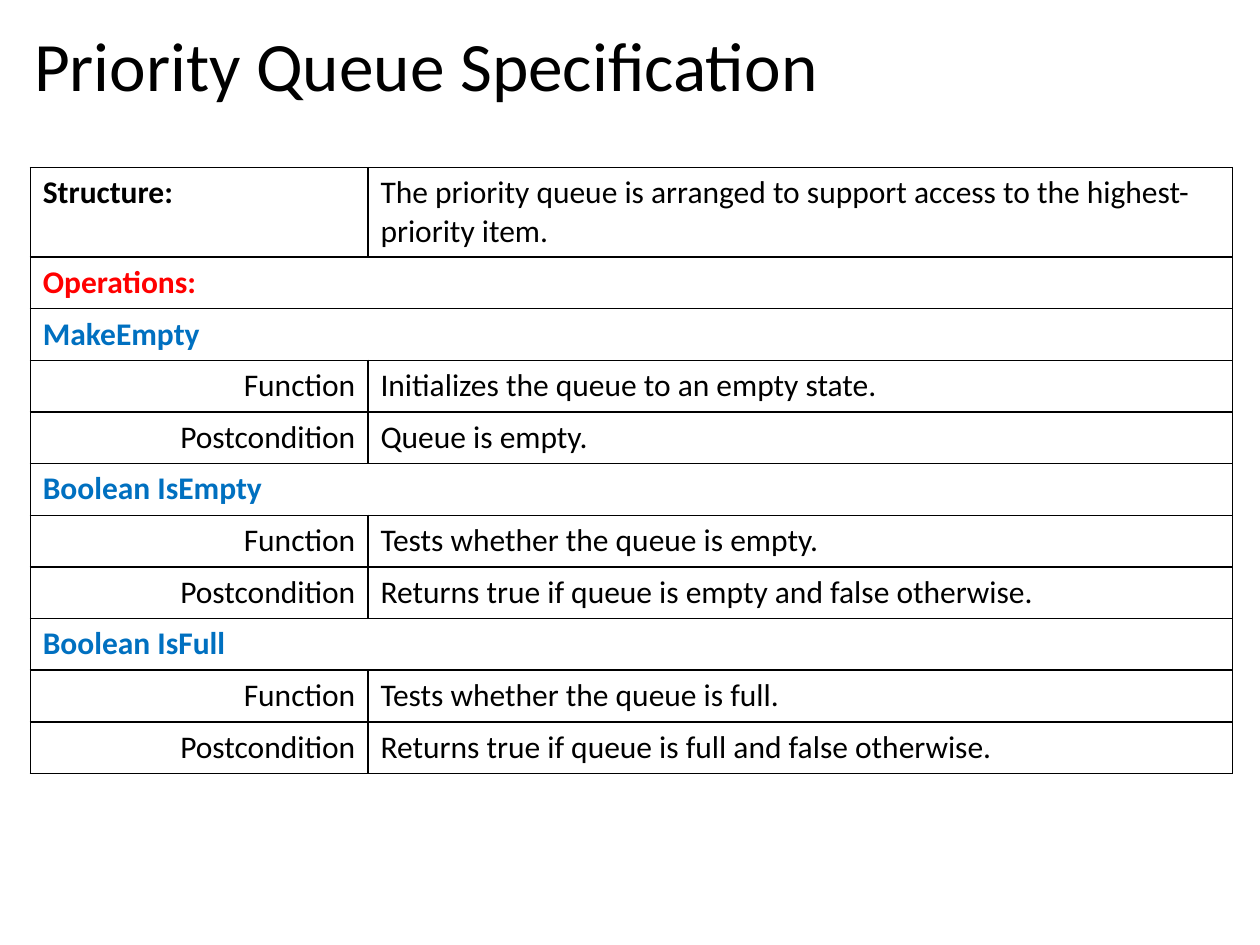
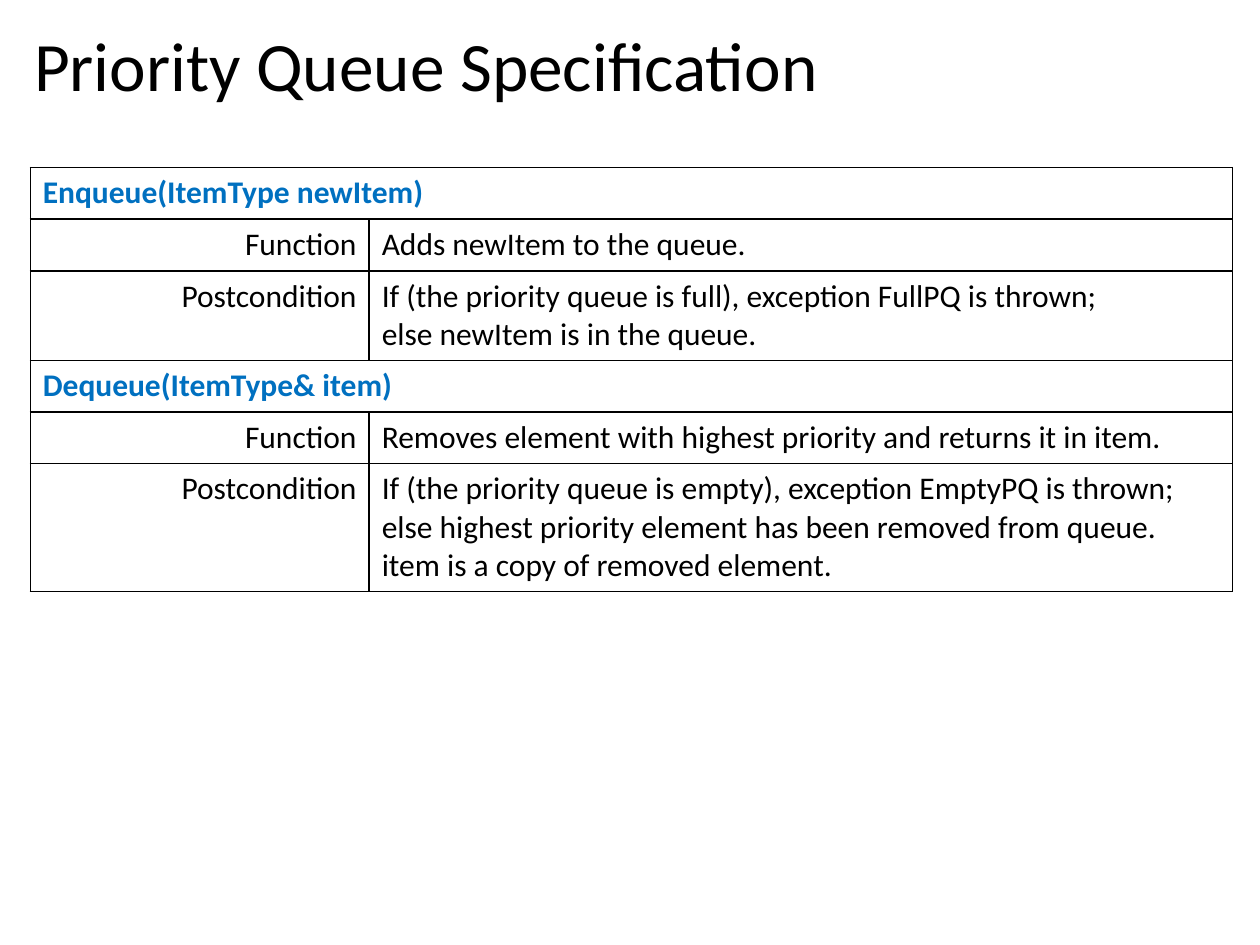
import pptx
import pptx.dml.color
import pptx.enum.text
import pptx.oxml
import pptx.oxml.ns
import pptx.util
from dataclasses import dataclass

Inches = pptx.util.Inches
Pt = pptx.util.Pt
RGB = pptx.dml.color.RGBColor
ALIGN = pptx.enum.text.PP_ALIGN


@dataclass(frozen=True)
class Theme:
    font: str = "Calibri"
    title_size: float = 39.6
    body_size: float = 18
    ink: str = "000000"
    section: str = "FF0000"
    operation: str = "0070C0"
    border_width: float = 1


theme = Theme()


def add_run(paragraph, text, size, color=theme.ink, bold=False):
    run = paragraph.add_run()
    run.text = text
    run.font.name = theme.font
    run.font.size = Pt(size)
    run.font.bold = bold
    run.font.color.rgb = RGB.from_string(color)


def add_borders(cell):
    properties = cell._tc.get_or_add_tcPr()
    for side in ("lnL", "lnR", "lnT", "lnB"):
        properties.append(pptx.oxml.parse_xml(
            f'<a:{side} {pptx.oxml.ns.nsdecls("a")} w="{Pt(theme.border_width)}">'
            f'<a:solidFill><a:srgbClr val="{theme.ink}"/></a:solidFill></a:{side}>'))


# Each row is (kind, label, description paragraphs)
def_rows = [
    ("structure", "Structure:",
     ["The priority queue is arranged to support access to the highest-priority item."]),
    ("section", "Operations:", []),
    ("operation", "MakeEmpty", []),
    ("detail", "Function", ["Initializes the queue to an empty state."]),
    ("detail", "Postcondition", ["Queue is empty."]),
    ("operation", "Boolean IsEmpty", []),
    ("detail", "Function", ["Tests whether the queue is empty."]),
    ("detail", "Postcondition", ["Returns true if queue is empty and false otherwise."]),
    ("operation", "Boolean IsFull", []),
    ("detail", "Function", ["Tests whether the queue is full."]),
    ("detail", "Postcondition", ["Returns true if queue is full and false otherwise."]),
]
item_rows = [
    ("operation", "Enqueue(ItemType newItem)", []),
    ("detail", "Function", ["Adds newItem to the queue."]),
    ("detail", "Postcondition",
     ["If (the priority queue is full), exception FullPQ is thrown;",
      "else newItem is in the queue."]),
    ("operation", "Dequeue(ItemType& item)", []),
    ("detail", "Function", ["Removes element with highest priority and returns it in item."]),
    ("detail", "Postcondition",
     ["If (the priority queue is empty), exception EmptyPQ is thrown; "
      "else highest priority element has been removed from queue. "
      "item is a copy of removed element."]),
]
label_colors = {"section": theme.section, "operation": theme.operation}
table_width, row_height = 9.54, 0.41

deck = pptx.Presentation()
deck.slide_width, deck.slide_height = Inches(10), Inches(7.5)

for rows, label_width in ((def_rows, 2.68), (item_rows, 2.69)):
    slide = deck.slides.add_slide(deck.slide_layouts[5])

    # Title
    title = slide.shapes.title
    title.left, title.top = Inches(0.17), Inches(0.18)
    title.width, title.height = Inches(9.62), Inches(0.74)
    title.text_frame.auto_size = pptx.enum.text.MSO_AUTO_SIZE.NONE
    title.text_frame.vertical_anchor = pptx.enum.text.MSO_ANCHOR.MIDDLE
    heading = title.text_frame.paragraphs[0]
    heading.alignment = ALIGN.LEFT
    heading.line_spacing = 0.9
    add_run(heading, "Priority Queue Specification", theme.title_size)

    # Specification table
    specification = slide.shapes.add_table(
        len(rows), 2, Inches(0.24), Inches(1.33),
        Inches(table_width), Inches(row_height * len(rows))).table
    specification.first_row = specification.horz_banding = False
    specification.columns[0].width = Inches(label_width)
    specification.columns[1].width = Inches(table_width - label_width)

    for index, (kind, label, description) in enumerate(rows):
        specification.rows[index].height = Inches(row_height)
        label_cell, description_cell = specification.rows[index].cells
        for cell in (label_cell, description_cell):
            add_borders(cell)
            cell.fill.background()
        if not description:
            label_cell.merge(description_cell)

        # Label
        label_line = label_cell.text_frame.paragraphs[0]
        label_line.alignment = ALIGN.RIGHT if kind == "detail" else ALIGN.LEFT
        add_run(label_line, label, theme.body_size,
                label_colors.get(kind, theme.ink), bold=kind != "detail")

        # Description
        for number, text in enumerate(description):
            frame = description_cell.text_frame
            line = frame.add_paragraph() if number else frame.paragraphs[0]
            add_run(line, text, theme.body_size)

deck.save("out.pptx")
